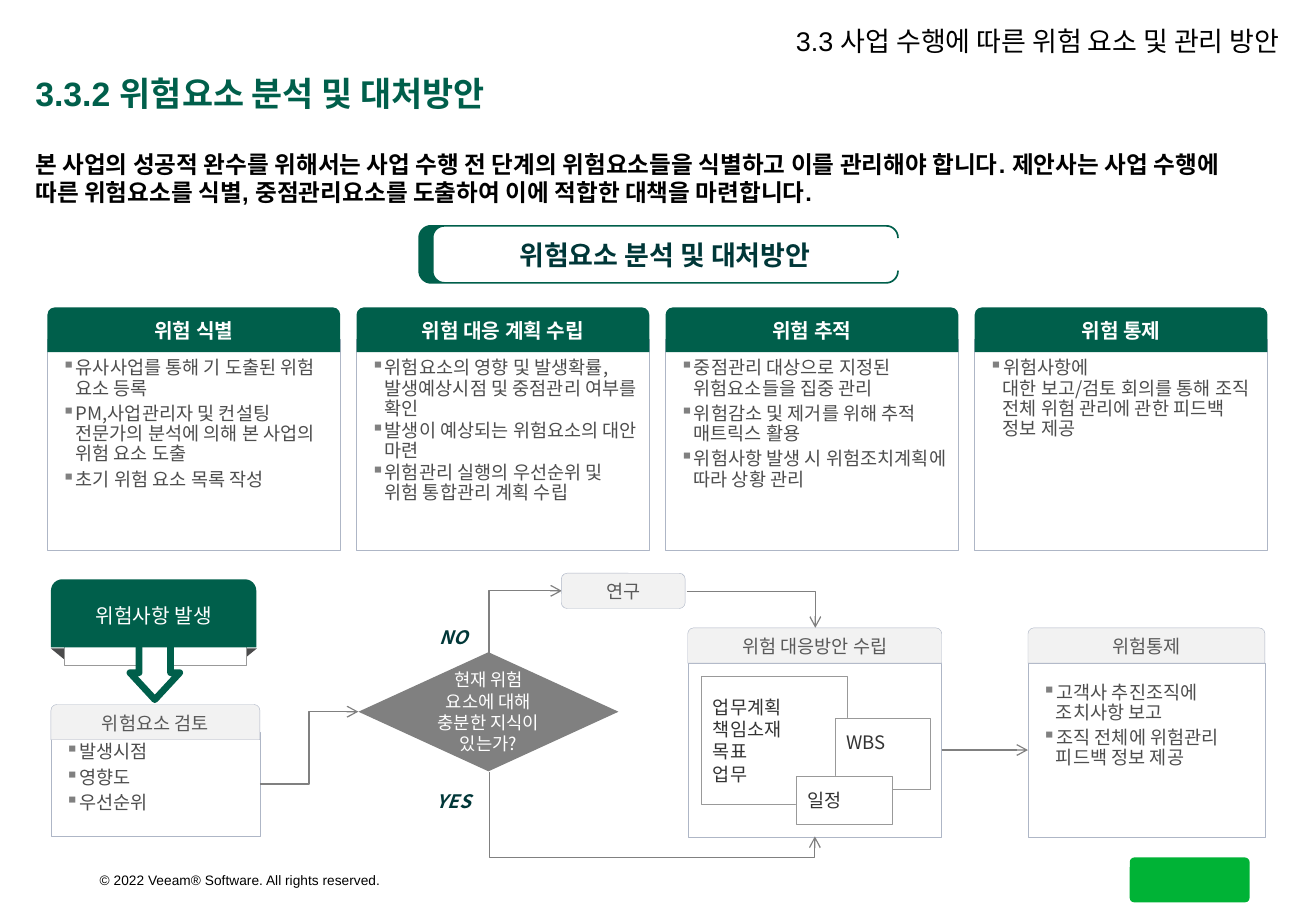
import dataclasses
import math

import lxml.etree
import pptx
import pptx.dml.color
import pptx.enum.shapes
import pptx.enum.text
import pptx.oxml.ns
import pptx.util

Pt = pptx.util.Pt
SHAPE = pptx.enum.shapes.MSO_SHAPE
ALIGN = pptx.enum.text.PP_ALIGN
ANCHOR = pptx.enum.text.MSO_ANCHOR
qn = pptx.oxml.ns.qn


@dataclasses.dataclass(frozen=True)
class Theme:
    """Colours, fonts and type sizes of the slide."""
    green: str = "005F4B"
    deep: str = "003738"
    badge: str = "00B336"
    black: str = "000000"
    white: str = "FFFFFF"
    pale: str = "F2F2F2"
    frame: str = "AEB6C6"
    sheet: str = "999999"
    grey: str = "808080"
    fold: str = "4B4B4C"
    list_ink: str = "4D4D4D"
    head_ink: str = "595959"
    sheet_ink: str = "333333"
    latin: str = "Arial"
    korean: str = "Noto Sans CJK KR"
    title: float = 20
    chapter: float = 16
    lead: float = 14
    heading: float = 12
    text: float = 11
    question: float = 10.5
    legal: float = 8.1


THEME = Theme()


@dataclasses.dataclass(frozen=True)
class Box:
    """A rectangle in points."""
    left: float
    top: float
    width: float
    height: float

    def within(self, left, top, width, height):
        """Return a box placed relative to this one."""
        return Box(self.left + left, self.top + top, width, height)

    def lengths(self):
        """Return left, top, width and height as lengths."""
        return [Pt(v) for v in (self.left, self.top, self.width, self.height)]


def apply(target, values):
    """Set each attribute in values on the target."""
    for name, value in values.items():
        setattr(target, name, value)


def rgb(colour):
    """Return an RGB colour from its hex code."""
    return pptx.dml.color.RGBColor.from_string(colour)


def write(frame, lines, size, colour, font=THEME.korean, bold=False, italic=False, align=ALIGN.LEFT,
          anchor=ANCHOR.MIDDLE, insets=(7.2, 3.6, 7.2, 3.6), spacing=None, gap=0, bullet=False, wrap=True):
    """Fill a text frame with equally formatted paragraphs."""
    left, top, right, bottom = map(Pt, insets)
    apply(frame, dict(margin_left=left, margin_top=top, margin_right=right, margin_bottom=bottom,
                      word_wrap=wrap, vertical_anchor=anchor, auto_size=pptx.enum.text.MSO_AUTO_SIZE.NONE))
    for number, line in enumerate(lines):
        paragraph = frame.add_paragraph() if number else frame.paragraphs[0]
        paragraph.text = line
        apply(paragraph, dict(alignment=align, line_spacing=spacing, space_before=Pt(gap if number else 0)))
        properties = paragraph._p.get_or_add_pPr()
        indent = Pt(8) if bullet else 0
        properties.set("marL", str(indent))
        properties.set("indent", str(-indent))
        if bullet:
            tint = lxml.etree.SubElement(properties, qn("a:buClr"))
            lxml.etree.SubElement(tint, qn("a:srgbClr"), val=THEME.grey)
            lxml.etree.SubElement(properties, qn("a:buChar"), char="▪")
        else:
            lxml.etree.SubElement(properties, qn("a:buNone"))
        for run in paragraph.runs:
            run.font.color.rgb = rgb(colour)
            apply(run.font, dict(size=Pt(size), bold=bold, italic=italic, name=font))
            lxml.etree.SubElement(run._r.get_or_add_rPr(), qn("a:ea"), typeface=THEME.korean)


def paint(shape, fill, line=None, weight=0.25):
    """Give a shape a flat fill and an optional outline."""
    shape.shadow.inherit = False
    shape.fill.solid()
    shape.fill.fore_color.rgb = rgb(fill)
    if line:
        shape.line.color.rgb = rgb(line)
        shape.line.width = Pt(weight)
    else:
        shape.line.fill.background()
    return shape


def block(slide, kind, box, fill, line=None, weight=0.25):
    """Add a painted preset shape in the box."""
    return paint(slide.shapes.add_shape(kind, *box.lengths()), fill, line, weight)


def outline(slide, points, fill, line=None, weight=0.25):
    """Add a painted closed outline through points."""
    units = [(x * 100, y * 100) for x, y in points]
    builder = slide.shapes.build_freeform(*units[0], scale=127)
    builder.add_line_segments(units[1:], close=True)
    return paint(builder.convert_to_shape(), fill, line, weight)


def bullets(slide, box, lines, gap=3, top=11.5):
    """Add a framed bullet list in the box."""
    panel = block(slide, SHAPE.RECTANGLE, box, THEME.white, THEME.frame)
    write(panel.text_frame, lines, THEME.text, THEME.list_ink, anchor=ANCHOR.TOP,
          insets=(8.6, top, 5.8, 3.6), spacing=Pt(12), gap=gap, bullet=True)
    return panel


def arrow(slide, box, preset=None, adjust=None, **transform):
    """Add an arrow in the box, straight or bent by a preset."""
    kinds = pptx.enum.shapes.MSO_CONNECTOR
    left, top, width, height = box.lengths()
    link = slide.shapes.add_connector(kinds.ELBOW if preset else kinds.STRAIGHT,
                                      left, top, left + width, top + height)
    link.line.color.rgb = rgb(THEME.grey)
    link.line.width = Pt(0.75)
    lxml.etree.SubElement(link.line._get_or_add_ln(), qn("a:tailEnd"), type="arrow")
    properties = link._element.spPr
    lxml.etree.SubElement(properties, qn("a:effectLst"))
    for name, value in transform.items():
        properties.find(qn("a:xfrm")).set(name, str(value))
    if preset:
        geometry = properties.find(qn("a:prstGeom"))
        geometry.set("prst", preset)
        if adjust:
            lxml.etree.SubElement(geometry.find(qn("a:avLst")), qn("a:gd"), name="adj1", fmla=f"val {adjust}")
    return link


def headings(slide, box):
    """Place the title, the lead text and the chapter name."""
    title, lead, chapter = slide.placeholders
    places = (title, box.within(13.7, 42.5, 691, 28)), (lead, box.within(13.7, 85, 737, 85)), \
        (chapter, box.within(343.4, 11.5, 422, 28))
    for holder, place in places:
        apply(holder, dict(zip(("left", "top", "width", "height"), place.lengths())))
    write(title.text_frame, ["3.3.2 위험요소 분석 및 대처방안"], THEME.title, THEME.green, THEME.latin,
          bold=True, spacing=0.9)
    write(lead.text_frame, ["본 사업의 성공적 완수를 위해서는 사업 수행 전 단계의 위험요소들을 식별하고 이를 관리해야 합니다. "
                            "제안사는 사업 수행에 따른 위험요소를 식별, 중점관리요소를 도출하여 이에 적합한 대책을 마련합니다."],
          THEME.lead, THEME.black, THEME.latin, bold=True, anchor=ANCHOR.TOP)
    write(chapter.text_frame, ["3.3 사업 수행에 따른 위험 요소 및 관리 방안"], THEME.chapter, THEME.black,
          THEME.latin, align=ALIGN.RIGHT, spacing=0.9)


def capsule(slide, box):
    """Draw the section capsule with its thick left edge and open right side."""
    radius = 7
    outer, inner, end = box.left + radius, box.left + 8 + radius, box.left + box.width - radius
    upper, lower = box.top + radius, box.top + box.height - radius
    arcs = ((end, upper, -90, 0), (end, upper, 0, -90), (inner, upper, -90, -180), (inner, lower, 180, 90),
            (end, lower, 90, 0), (end, lower, 0, 90), (outer, lower, 90, 180), (outer, upper, 180, 270))
    points = []
    for x, y, start, stop in arcs:
        for step in range(9):
            angle = math.radians(start + (stop - start) * step / 8)
            points.append((x + radius * math.cos(angle), y + radius * math.sin(angle)))
    section = outline(slide, points, THEME.green, THEME.green, 1)
    write(section.text_frame, ["위험요소 분석 및 대처방안"], THEME.chapter, THEME.deep, THEME.latin,
          bold=True, align=ALIGN.CENTER, insets=(14.4, 3.6, 7.2, 3.6))


def stages(slide, box):
    """Lay out the four risk stages as equal cards."""
    cards = (
        ("위험 식별", 3, ["유사사업를 통해 기 도출된 위험 요소 등록",
                      "PM,사업관리자 및 컨설팅 전문가의 분석에 의해 본 사업의 위험 요소 도출", "초기 위험 요소 목록 작성"]),
        ("위험 대응 계획 수립", 1, ["위험요소의 영향 및 발생확률, 발생예상시점 및 중점관리 여부를 확인",
                            "발생이 예상되는 위험요소의 대안 마련", "위험관리 실행의 우선순위 및 위험 통합관리 계획 수립"]),
        ("위험 추적", 3, ["중점관리 대상으로 지정된 위험요소들을 집중 관리", "위험감소 및 제거를 위해 추적 매트릭스 활용",
                      "위험사항 발생 시 위험조치계획에 따라 상황 관리"]),
        ("위험 통제", 3, ["위험사항에\v대한 보고/검토 회의를 통해 조직 전체 위험 관리에 관한 피드백 정보 제공"]))
    width = 173.5
    pitch = (box.width - width) / (len(cards) - 1)
    for number, (stage, gap, duties) in enumerate(cards):
        bullets(slide, box.within(number * pitch, 18.7, width, box.height - 18.7), duties, gap)
        head = block(slide, SHAPE.ROUND_2_SAME_RECTANGLE, box.within(number * pitch, 0, width, 26.6), THEME.green)
        write(head.text_frame, [stage], THEME.heading, THEME.white, bold=True, align=ALIGN.CENTER)


def flow(slide, box):
    """Draw the risk handling flow from occurrence to control."""
    fold = ((0, 44.6), (16.5, 44.6), (16.5, 54), (11.5, 54))
    for side, edge in ((1, 0), (-1, 122)):
        outline(slide, [(box.left + edge + side * x, box.top + y) for x, y in fold], THEME.fold)
    block(slide, SHAPE.RECTANGLE, box.within(8, 7.2, 108, 47.5), THEME.white, THEME.sheet, 0.75)
    plan = block(slide, SHAPE.RECTANGLE, box.within(377.3, 53.3, 150.5, 103), THEME.white, THEME.frame)
    bullets(slide, box.within(0, 94.4, 123.8, 61.2), ["발생시점", "영향도", "우선순위"], top=5.8)
    control = bullets(slide, box.within(578.9, 53.3, 140.4, 103),
                      ["고객사 추진조직에 조치사항 보고", "조직 전체에 위험관리 피드백 정보 제공"])

    question = block(slide, SHAPE.DIAMOND, box.within(182.2, 46.8, 154.1, 70.6), THEME.grey)
    write(question.text_frame, ["현재 위험", "요소에 대해", "충분한 지식이", "있는가?"], THEME.question, THEME.white,
          align=ALIGN.CENTER, insets=(0, 0, 0, 0), wrap=False)
    sheets = (((385.2, 61.2, 86.4, 75.6), ["업무계획", "책임소재", "목표", "업무"], ANCHOR.MIDDLE, 3.6),
              ((464.4, 85.7, 56.9, 42.5), ["WBS"], ANCHOR.TOP, 8),
              ((441.4, 120.2, 56.9, 28.8), ["일정"], ANCHOR.MIDDLE, 3.6))
    for place, contents, anchor, top in sheets:
        sheet = block(slide, SHAPE.RECTANGLE, box.within(*place), THEME.white, THEME.sheet)
        write(sheet.text_frame, contents, THEME.text, THEME.sheet_ink, anchor=anchor, insets=(7.2, top, 7.2, 3.6))

    arrow(slide, box.within(123.8, 82.1, 58.3, 42.8), "bentConnector3", flipV=1)
    arrow(slide, box.within(262.8, 7.2, 36.7, 43.2), "bentConnector2", rot=5400000, flipH=1, flipV=1)
    arrow(slide, box.within(337, 40.4, 38.2, 193), "bentConnector3", 132600, rot=16200000, flipH=1)
    arrow(slide, box.within(376.6, 10.8, 76.3, 21.6), "bentConnector2")
    handover = arrow(slide, box.within(527.8, 104.8, 51.1, 0))
    handover.begin_connect(plan, 3)
    handover.end_connect(control, 1)
    for answer, top in (("NO", 27.4), ("YES", 124.6)):
        label = slide.shapes.add_textbox(*box.within(210.2, top, 56.9, 20.9).lengths())
        write(label.text_frame, [answer], THEME.text, THEME.deep, bold=True, italic=True, align=ALIGN.CENTER)

    steps = ((0, 77.8, 123.8, "위험요소 검토", SHAPE.ROUND_2_SAME_RECTANGLE),
             (377.3, 32.4, 150.5, "위험 대응방안 수립", SHAPE.ROUND_2_SAME_RECTANGLE),
             (578.9, 32.4, 140.4, "위험통제", SHAPE.ROUND_2_SAME_RECTANGLE),
             (302.4, 0, 73.4, "연구", SHAPE.ROUNDED_RECTANGLE))
    for left, top, width, step, kind in steps:
        head = block(slide, kind, box.within(left, top, width, 20.9), THEME.pale, THEME.frame)
        write(head.text_frame, [step], THEME.text, THEME.head_ink, align=ALIGN.CENTER)
    descent = block(slide, SHAPE.DOWN_ARROW, box.within(46.8, 35.3, 29.5, 39.6), THEME.white, THEME.green, 4)
    descent.adjustments[0], descent.adjustments[1] = 0.63, 0.54
    occurrence = block(slide, SHAPE.ROUND_2_SAME_RECTANGLE, box.within(0, 3.6, 121.7, 40.3), THEME.green)
    write(occurrence.text_frame, ["위험사항 발생"], THEME.heading, THEME.white, align=ALIGN.CENTER)


def footer(slide, box):
    """Place the copyright line and the plain badge."""
    legal = slide.shapes.add_textbox(*box.within(0, 5, 182, 17.3).lengths())
    write(legal.text_frame, ["© 2022 Veeam® Software. All rights reserved."], THEME.legal, THEME.black,
          THEME.latin, align=ALIGN.RIGHT, wrap=False)
    badge = block(slide, SHAPE.ROUNDED_RECTANGLE, box.within(box.width - 71, 0, 71, 26.6), THEME.badge)
    badge.adjustments[0] = 0.1


def main():
    """Build and save the slide."""
    deck = pptx.Presentation()
    apply(deck, dict(slide_width=Pt(779.76), slide_height=Pt(540)))
    slide = deck.slides.add_slide(deck.slide_layouts[3])
    footer(slide, Box(50.4, 508.3, 690, 27))
    headings(slide, Box(0, 0, 780, 170))
    stages(slide, Box(28.1, 182.2, 722.9, 144))
    flow(slide, Box(30.2, 339.8, 719.3, 169))
    capsule(slide, Box(248.4, 133.9, 283.7, 33.8))
    deck.save("out.pptx")


if __name__ == "__main__":
    main()
